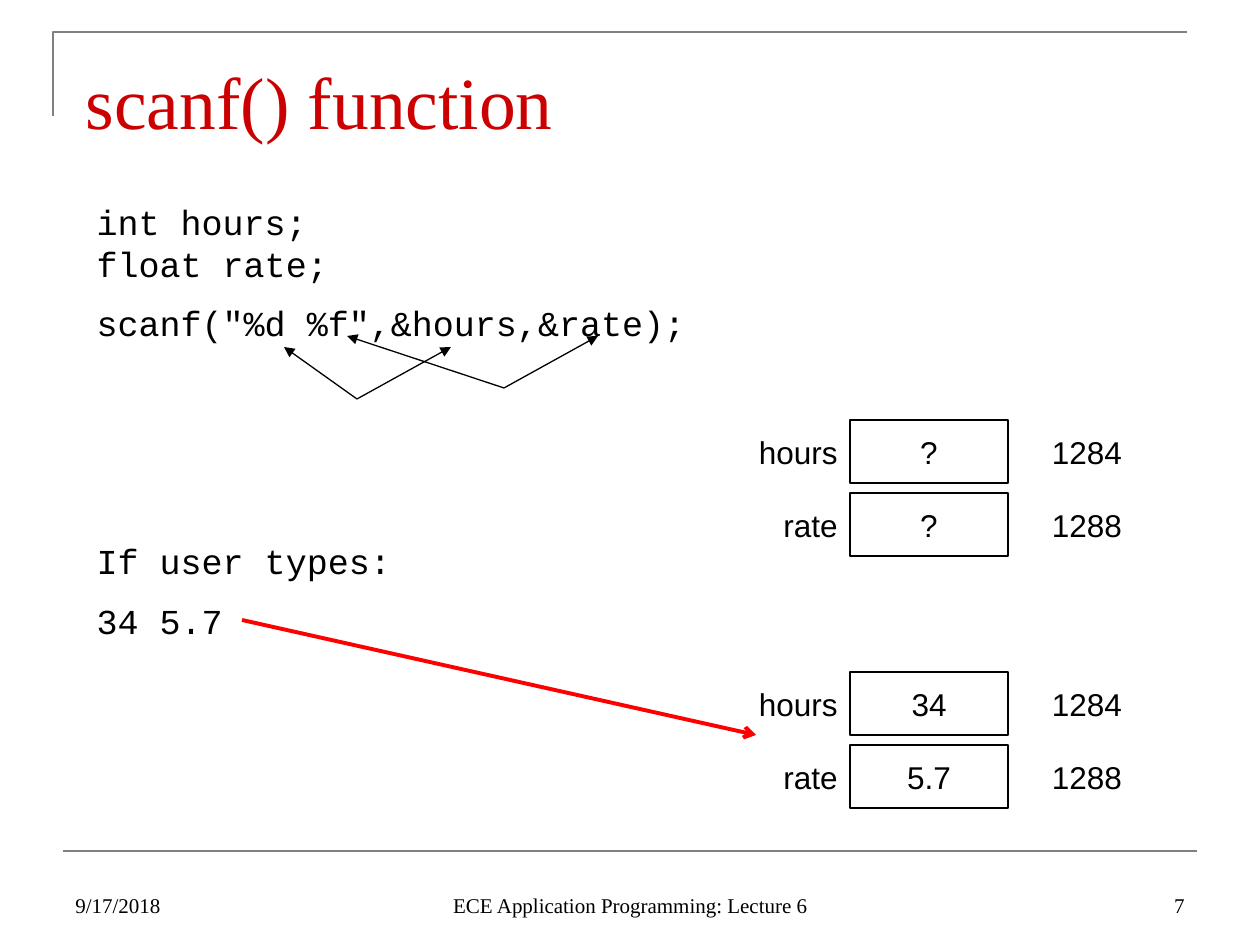
from pptx import Presentation
from pptx.dml.color import RGBColor
from pptx.enum.shapes import MSO_CONNECTOR as Connector, MSO_SHAPE as Shape
from pptx.enum.text import MSO_ANCHOR as Anchor, MSO_AUTO_SIZE as AutoSize, PP_ALIGN as Align
from pptx.oxml.ns import qn
from pptx.util import Pt
from lxml.etree import SubElement

SCALE = 914400 / 126


def emu(*lengths):
    return [round(length * SCALE) for length in lengths]


def color(value):
    return RGBColor.from_string(value)


class SlideBuilder:
    """Holds the lecture style and the current slide, and adds its elements."""

    serif, sans, mono = "Times New Roman", "Arial", "Courier New"
    black, gray, accent, red = "000000", "808080", "CC0000", "FF0000"

    def __init__(self, deck):
        self.page = deck.slides.add_slide(deck.slide_layouts[1])
        self.shapes = self.page.shapes

    def style(self, para, name, size, ink, align=Align.LEFT):
        para.alignment = align
        para.font.name = name
        para.font.size = Pt(size)
        para.font.color.rgb = color(ink)

    def place(self, holder, bounds, margin_top):
        holder.left, holder.top, holder.width, holder.height = emu(*bounds)
        frame = holder.text_frame
        frame.word_wrap = True
        frame.auto_size = AutoSize.NONE
        frame.vertical_anchor = Anchor.TOP
        frame.margin_top = emu(margin_top)[0]
        return frame

    def title(self, text, bounds):
        frame = self.place(self.shapes.title, bounds, 14)
        frame.text = text
        self.style(frame.paragraphs[0], self.serif, 42, self.accent)

    def code(self, lines, bounds):
        frame = self.place(self.page.placeholders[1], bounds, 11)
        for index, (text, gap) in enumerate(lines):
            para = frame.add_paragraph() if index else frame.paragraphs[0]
            para.text = text
            props = para._p.get_or_add_pPr()
            props.set("marL", "0")
            props.set("indent", "0")
            SubElement(props, qn("a:buNone"))
            para.space_before = Pt(gap)
            para.line_spacing = Pt(24)
            self.style(para, self.mono, 20, self.black)

    def fill_text(self, box, text, name, size, align, anchor):
        frame = box.text_frame
        frame.word_wrap = True
        frame.vertical_anchor = anchor
        frame.text = text
        self.style(frame.paragraphs[0], name, size, self.black, align)

    def label(self, text, bounds, align, name=sans, size=18, anchor=Anchor.MIDDLE):
        box = self.shapes.add_textbox(*emu(*bounds))
        self.fill_text(box, text, name, size, align, anchor)

    def footer(self, text, left, width, align):
        self.label(text, (left, 861, width, 63), align, self.serif, 12, Anchor.BOTTOM)

    def cell(self, text, bounds):
        box = self.shapes.add_shape(Shape.RECTANGLE, *emu(*bounds))
        box.shadow.inherit = False
        box.fill.background()
        box.line.color.rgb = color(self.black)
        box.line.width = Pt(0.75)
        self.fill_text(box, text, self.sans, 18, Align.CENTER, Anchor.MIDDLE)

    def variable(self, name, value, address, top):
        self.cell(value, (850, top, 158, 63))
        self.label(address, (1008, top, 158, 63), Align.CENTER)
        self.label(name, (693, top, 157, 63), Align.RIGHT)

    def line(self, start, end, ink, width, head=None):
        link = self.shapes.add_connector(Connector.STRAIGHT, *emu(*start, *end))
        link.line.color.rgb = color(ink)
        link.line.width = Pt(width)
        if head:
            SubElement(link.line._get_or_add_ln(), qn("a:tailEnd"), type=head)
        SubElement(link._element.spPr, qn("a:effectLst"))

    def corner(self, *points):
        builder = self.shapes.build_freeform(*points[0], scale=SCALE)
        builder.add_line_segments(points[1:], close=False)
        outline = builder.convert_to_shape()
        outline.shadow.inherit = False
        outline.fill.background()
        outline.line.color.rgb = color(self.gray)
        outline.line.width = Pt(1.5)


def main():
    deck = Presentation()
    deck.slide_width, deck.slide_height = emu(1260, 945)
    slide = SlideBuilder(deck)

    slide.corner((53, 116), (53, 32), (1187, 32))
    slide.line((63, 851), (1197, 851), slide.gray, 1.5)
    slide.title("scanf() function", (73, 42, 1071, 94))
    slide.code([
        ("int hours;\vfloat rate;", 0),
        ('scanf("%d %f",&hours,&rate);', 10),
        ("If user types:", 112),
        ("34 5.7", 10),
    ], (84, 189, 630, 475))

    for top, hours, rate in [(420, "?", "?"), (672, "34", "5.7")]:
        slide.variable("hours", hours, "1284", top)
        slide.variable("rate", rate, "1288", top + 73)

    for start, *ends in [
        ((357, 399), (284, 347), (451, 347)),
        ((504, 388), (347, 336), (598, 336)),
    ]:
        for end in ends:
            slide.line(start, end, slide.black, 0.75, "triangle")
    slide.line((242, 620), (756, 735), slide.red, 2.25, "arrow")

    slide.footer("9/17/2018", 63, 294, Align.LEFT)
    slide.footer("ECE Application Programming: Lecture 6", 431, 399, Align.CENTER)
    slide.footer("7", 903, 294, Align.RIGHT)
    deck.save("out.pptx")


if __name__ == "__main__":
    main()
